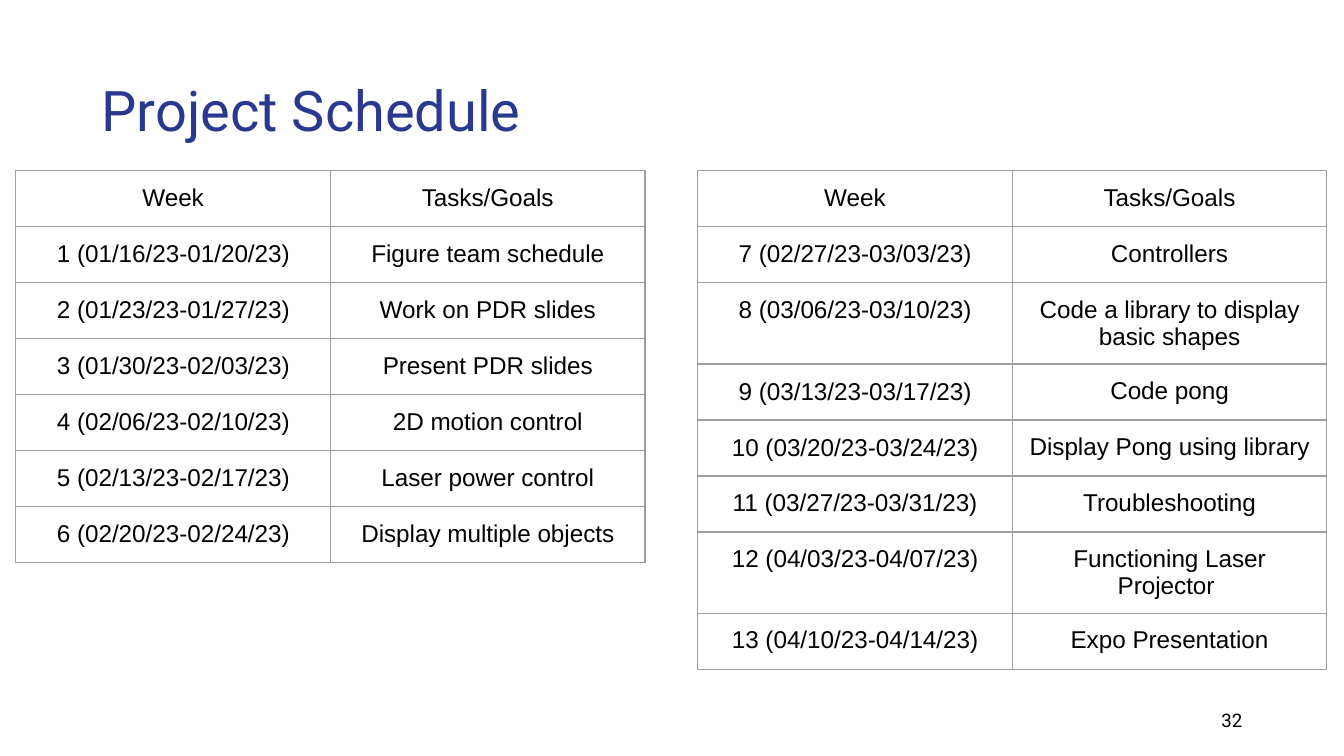
import dataclasses

import lxml.etree
import pptx
import pptx.dml.color
import pptx.enum.text
import pptx.oxml.ns
import pptx.util

PX = 3175  # EMU in one px, at 288 px to the inch
NAVY = pptx.dml.color.RGBColor(0x2A, 0x39, 0x90)
BLACK = pptx.dml.color.RGBColor(0, 0, 0)
GRAY = pptx.dml.color.RGBColor(0x9E, 0x9E, 0x9E)
ALIGN = pptx.enum.text.PP_ALIGN
ANCHOR = pptx.enum.text.MSO_ANCHOR
COL, ROW, TOP, PAD = 674, 120, 366, 29
HEAD = ("Week", "Tasks/Goals")


@dataclasses.dataclass(frozen=True)
class Week:
    label: str
    task: str
    anchor: ANCHOR = ANCHOR.TOP


@dataclasses.dataclass(frozen=True)
class Plan:
    left: int
    weeks: tuple[Week, ...]


PLANS = (
    Plan(34, (
        Week("1 (01/16/23-01/20/23)", "Figure team schedule"),
        Week("2 (01/23/23-01/27/23)", "Work on PDR slides"),
        Week("3 (01/30/23-02/03/23)", "Present PDR slides"),
        Week("4 (02/06/23-02/10/23)", "2D motion control"),
        Week("5 (02/13/23-02/17/23)", "Laser power control"),
        Week("6 (02/20/23-02/24/23)", "Display multiple objects"),
    )),
    Plan(1495, (
        Week("7 (02/27/23-03/03/23)", "Controllers"),
        Week("8 (03/06/23-03/10/23)", "Code a library to display basic shapes"),
        Week("9 (03/13/23-03/17/23)", "Code pong", ANCHOR.MIDDLE),
        Week("10 (03/20/23-03/24/23)", "Display Pong using library", ANCHOR.MIDDLE),
        Week("11 (03/27/23-03/31/23)", "Troubleshooting"),
        Week("12 (04/03/23-04/07/23)", "Functioning Laser Projector "),
        Week("13 (04/10/23-04/14/23)", "Expo Presentation"),
    )),
)


def px(size: int) -> pptx.util.Emu:
    return pptx.util.Emu(size * PX)


def style(para, font: str, size: int, color, align) -> None:
    para.alignment = align
    para.font.name = font
    para.font.size = pptx.util.Pt(size)
    para.font.color.rgb = color


def set_frame(frame, text: str) -> None:
    """Put one line of text in a frame with the slide's usual insets."""
    frame.text = text
    frame.word_wrap = True
    frame.auto_size = pptx.enum.text.MSO_AUTO_SIZE.NONE
    frame.vertical_anchor = ANCHOR.MIDDLE
    frame.margin_left = frame.margin_right = px(20)
    frame.margin_top = frame.margin_bottom = px(11)


def add_edges(cell) -> None:
    """Rule all four sides of a cell."""
    props = cell._tc.get_or_add_tcPr()
    for side in ("lnL", "lnR", "lnT", "lnB"):
        line = lxml.etree.SubElement(
            props, pptx.oxml.ns.qn(f"a:{side}"), w=str(pptx.util.Pt(0.75)))
        fill = lxml.etree.SubElement(line, pptx.oxml.ns.qn("a:solidFill"))
        lxml.etree.SubElement(fill, pptx.oxml.ns.qn("a:srgbClr"), val=str(GRAY))


def fill_cell(cell, text: str, anchor: ANCHOR = ANCHOR.TOP) -> None:
    cell.text = text
    cell.vertical_anchor = anchor
    cell.margin_left = cell.margin_right = px(PAD)
    cell.margin_top = cell.margin_bottom = px(PAD)
    style(cell.text_frame.paragraphs[0], "Arial", 13, BLACK, ALIGN.CENTER)
    add_edges(cell)
    cell.fill.background()


def add_plan(slide, plan: Plan) -> None:
    count = len(plan.weeks) + 1
    table = slide.shapes.add_table(
        count, 2, px(plan.left), px(TOP), px(2 * COL), px(count * ROW)).table
    table.first_row = table.horz_banding = False
    for col in table.columns:
        col.width = px(COL)
    for row in table.rows:
        row.height = px(ROW)
    for col, text in enumerate(HEAD):
        fill_cell(table.cell(0, col), text)
    for row, week in enumerate(plan.weeks, 1):
        fill_cell(table.cell(row, 0), week.label, week.anchor)
        fill_cell(table.cell(row, 1), week.task)


def main() -> None:
    deck = pptx.Presentation()
    deck.slide_width, deck.slide_height = px(2880), px(1620)
    slide = deck.slides.add_slide(deck.slide_layouts.get_by_name("Title Only"))

    title = slide.shapes.title
    title.left, title.top, title.width, title.height = map(px, (198, 86, 2484, 313))
    set_frame(title.text_frame, "Project Schedule")
    para = title.text_frame.paragraphs[0]
    style(para, "Roboto", 30, NAVY, ALIGN.LEFT)
    para.line_spacing = 0.9

    for plan in PLANS:
        add_plan(slide, plan)

    number = slide.shapes.add_textbox(*map(px, (2034, 1501, 648, 86))).text_frame
    set_frame(number, "32")
    style(number.paragraphs[0], "Roboto", 10, BLACK, ALIGN.RIGHT)
    deck.save("out.pptx")


if __name__ == "__main__":
    main()
